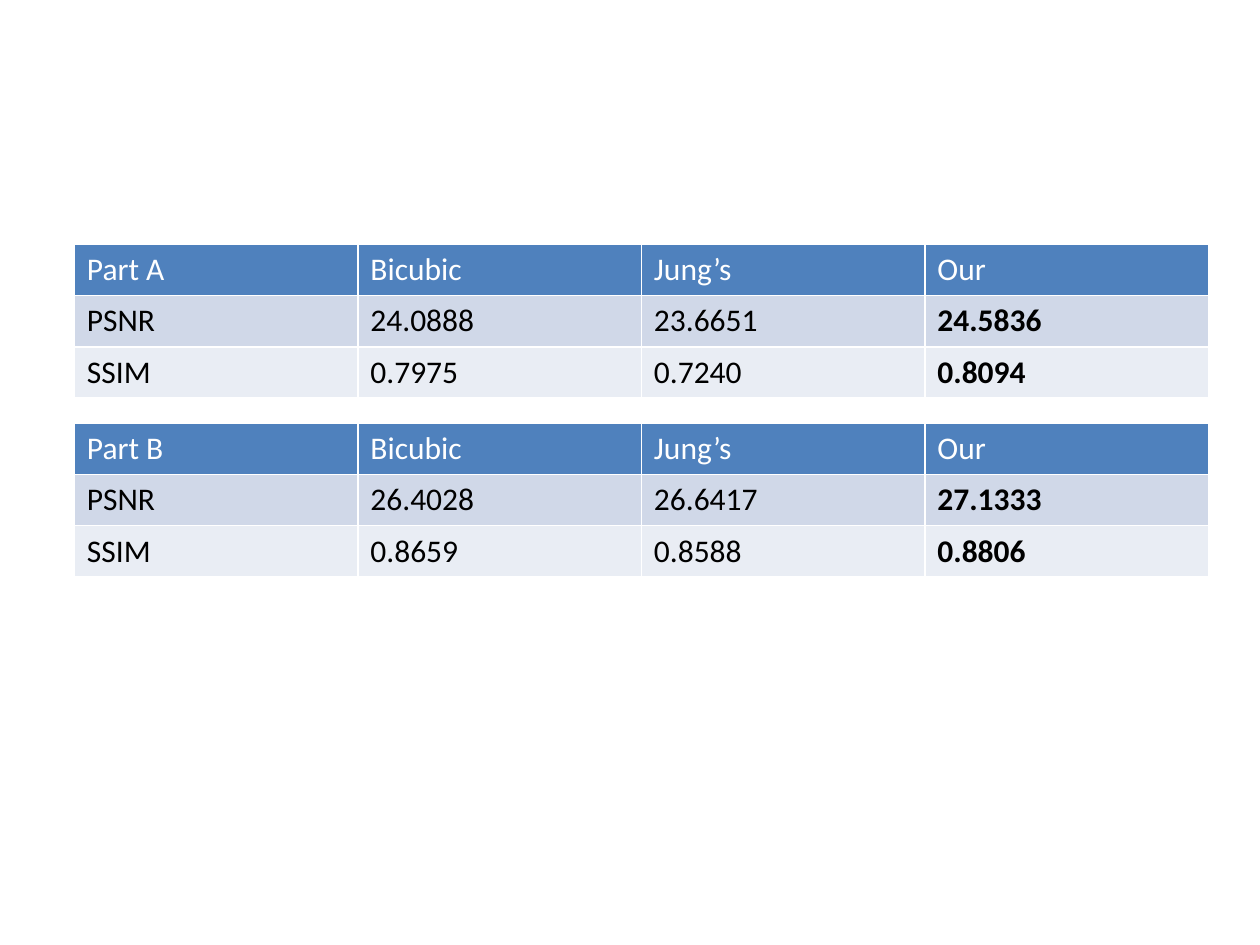
import pptx
import pptx.util
import pptx.dml.color
import pptx.oxml
import pptx.oxml.ns

Inches = pptx.util.Inches
RGBColor = pptx.dml.color.RGBColor

WHITE = RGBColor(0xFF, 0xFF, 0xFF)
BLACK = RGBColor(0, 0, 0)
HEADER_BLUE = RGBColor(0x4F, 0x81, 0xBD)
BAND_DARK = RGBColor(0xD0, 0xD8, 0xE8)
BAND_LIGHT = RGBColor(0xE9, 0xED, 0xF4)
ROW_FILLS = [HEADER_BLUE, BAND_DARK, BAND_LIGHT]

METHODS = ["Bicubic", "Jung’s", "Our"]
RESULTS = [
    ("Part A", 1.94, ["24.0888", "23.6651", "24.5836"], ["0.7975", "0.7240", "0.8094"]),
    ("Part B", 3.36, ["26.4028", "26.6417", "27.1333"], ["0.8659", "0.8588", "0.8806"]),
]


def write_text(frame, text, size=18, color=BLACK, bold=False, font="Calibri"):
    run = frame.paragraphs[0].add_run()
    run.text = text
    run.font.name = font
    run.font.size = pptx.util.Pt(size)
    run.font.bold = bold
    run.font.color.rgb = color


def set_borders(cell, color=WHITE, width=1):
    properties = cell._tc.get_or_add_tcPr()
    for side in ("lnL", "lnR", "lnT", "lnB"):
        properties.append(pptx.oxml.parse_xml(
            f'<a:{side} {pptx.oxml.ns.nsdecls("a")} w="{pptx.util.Pt(width)}">'
            f'<a:solidFill><a:srgbClr val="{color}"/></a:solidFill></a:{side}>'))


def add_scores(slide, part, top, psnr, ssim):
    rows = [[part] + METHODS, ["PSNR"] + psnr, ["SSIM"] + ssim]
    scores = slide.shapes.add_table(
        len(rows), len(rows[0]), Inches(0.59), Inches(top), Inches(9), Inches(1.22)).table
    for row_index, (values, fill) in enumerate(zip(rows, ROW_FILLS)):
        is_header = row_index == 0
        for column_index, value in enumerate(values):
            cell = scores.cell(row_index, column_index)
            set_borders(cell)
            cell.fill.solid()
            cell.fill.fore_color.rgb = fill
            is_best = not is_header and column_index == len(METHODS)
            write_text(cell.text_frame, value,
                       color=WHITE if is_header else BLACK, bold=is_best)


def main():
    deck = pptx.Presentation()
    deck.slide_width = Inches(10)
    deck.slide_height = Inches(7.5)
    slide = deck.slides.add_slide(deck.slide_layouts[6])
    for part, top, psnr, ssim in RESULTS:
        add_scores(slide, part, top, psnr, ssim)
    deck.save("out.pptx")


main()
